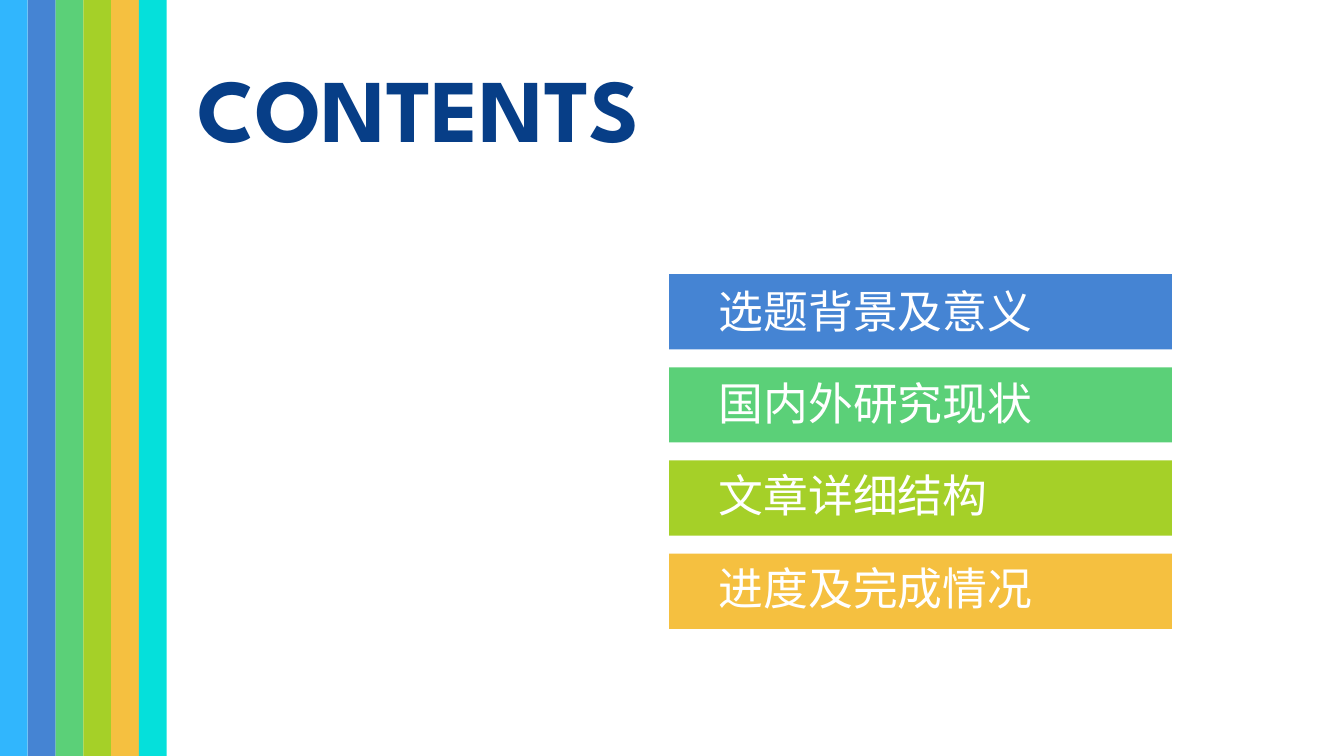
import pptx
import pptx.util
import pptx.dml.color
import pptx.enum.shapes
import pptx.enum.text
import pptx.oxml.ns
from lxml import etree

Inches = pptx.util.Inches

# Content
TITLE = "CONTENTS"
STRIPES = ["31B6FD", "4584D3", "5BD078", "A5D028", "F5C040", "05E0DB"]
CHAPTERS = [
    ("选题背景及意义", "4584D3"),
    ("国内外研究现状", "5BD078"),
    ("文章详细结构", "A5D028"),
    ("进度及完成情况", "F5C040"),
]

# Layout, in inches: a 16:9 slide, rows spread evenly from first to last
SLIDE_W = 10
SLIDE_H = SLIDE_W * 9 / 16
STRIPES_W = 1.24
BAR_X, BAR_W, BAR_H = 4.98, 3.74, 0.56
BAR_FIRST, BAR_LAST = 2.04, 4.12
LABEL_X, LABEL_W, LABEL_H = 5.25, 3.47, 0.5
LABEL_FIRST, LABEL_LAST = 2.06, 4.12


def rgb(color):
    return pptx.dml.color.RGBColor.from_string(color)


def row_top(first, last, i):
    return first + i * (last - first) / (len(CHAPTERS) - 1)


def add_bar(s, x, y, w, h, color):
    shape = s.shapes.add_shape(pptx.enum.shapes.MSO_SHAPE.RECTANGLE,
                               Inches(x), Inches(y), Inches(w), Inches(h))
    shape.shadow.inherit = False
    shape.fill.solid()
    shape.fill.fore_color.rgb = rgb(color)
    shape.line.fill.background()


def write(tf, text, size, font, color, bold=False):
    tf.word_wrap = True
    tf.auto_size = pptx.enum.text.MSO_AUTO_SIZE.SHAPE_TO_FIT_TEXT
    tf.vertical_anchor = pptx.enum.text.MSO_ANCHOR.TOP
    p = tf.paragraphs[0]
    p.alignment = pptx.enum.text.PP_ALIGN.LEFT
    r = p.add_run()
    r.text = text
    r.font.size = pptx.util.Pt(size)
    r.font.name = font
    r.font.bold = bold
    r.font.color.rgb = rgb(color)
    # East Asian characters take their own typeface
    ea = etree.SubElement(r.font._element, pptx.oxml.ns.qn("a:ea"))
    ea.set("typeface", font)


prs = pptx.Presentation()
prs.slide_width, prs.slide_height = Inches(SLIDE_W), Inches(SLIDE_H)
s = prs.slides.add_slide(prs.slide_layouts[5])

# Vertical stripes on the left edge
stripe_w = STRIPES_W / len(STRIPES)
for i, color in enumerate(STRIPES):
    add_bar(s, i * stripe_w, 0, stripe_w, SLIDE_H, color)

# Chapter bars with their labels
for i, (text, color) in enumerate(CHAPTERS):
    add_bar(s, BAR_X, row_top(BAR_FIRST, BAR_LAST, i), BAR_W, BAR_H, color)
    label = s.shapes.add_textbox(Inches(LABEL_X),
                                 Inches(row_top(LABEL_FIRST, LABEL_LAST, i)),
                                 Inches(LABEL_W), Inches(LABEL_H))
    write(label.text_frame, text, 24, "Noto Sans CJK SC", "FFFFFF")

# Title
title = s.shapes.title
title.left, title.top = Inches(1.37), Inches(0.34)
title.width, title.height = Inches(3.88), Inches(0.9)
write(title.text_frame, TITLE, 48, "League Spartan", "073E87", bold=True)

prs.save("out.pptx")
